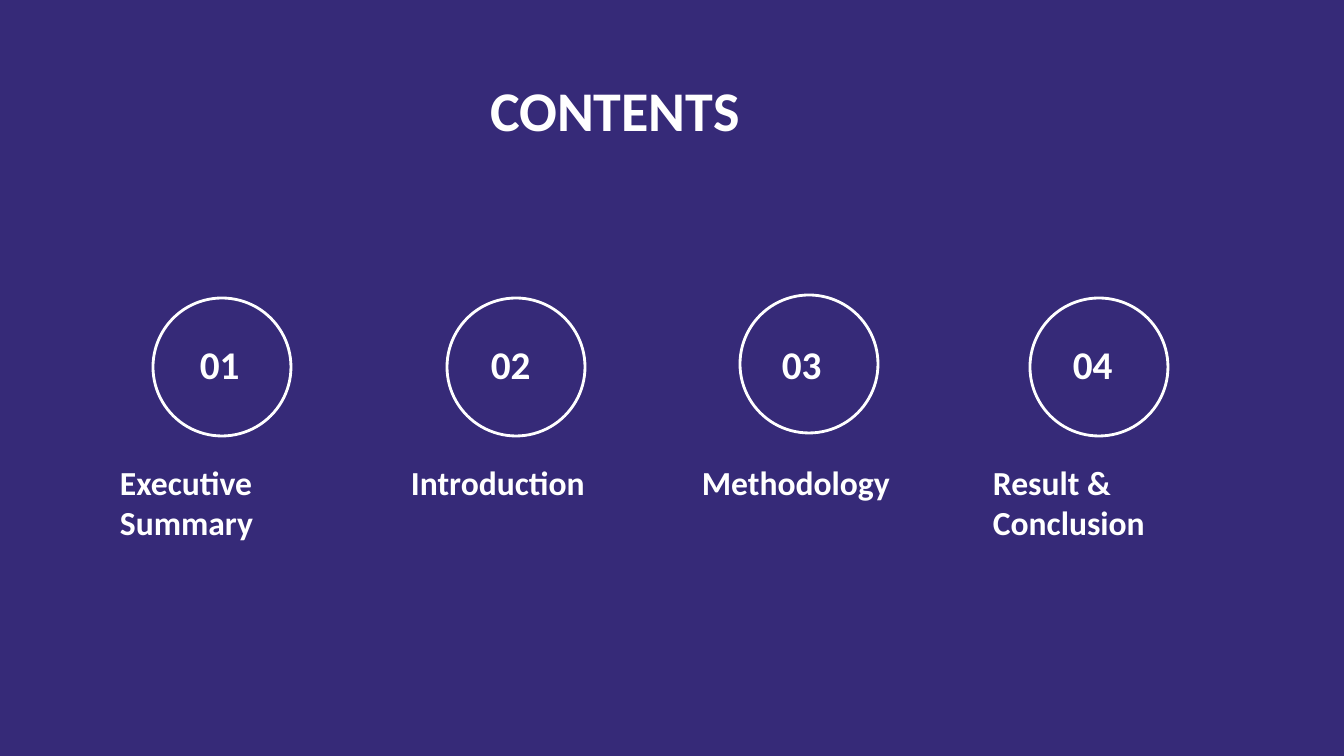
from dataclasses import dataclass

import pptx
import pptx.dml.color
import pptx.enum.shapes
import pptx.enum.text
import pptx.util

SLIDE_W, SLIDE_H = 1344, 756
EMU_PER_PX = 914400 / 100.8


@dataclass(frozen=True)
class Theme:
    font: str = "Calibri"
    background: str = "362A78"
    ink: str = "FFFFFF"
    title_pt: int = 40
    number_pt: int = 28
    label_pt: int = 24
    ring_pt: int = 2


@dataclass(frozen=True)
class Section:
    label: str
    ring_left: int
    ring_top: int = 298


THEME = Theme()
SECTIONS = [
    Section("Executive Summary", 153),
    Section("Introduction", 447),
    Section("Methodology", 740, 295),
    Section("Result & Conclusion", 1030),
]
LABEL_LEFT, LABEL_TOP, LABEL_W, LABEL_H = 110, 457, 239, 92
NUMBER_INSET, NUMBER_TOP, NUMBER_W, NUMBER_H = 80, 335, 70, 57
COLUMN_PITCH = 291
RING_SIZE = 138


def px(n: int) -> pptx.util.Emu:
    return pptx.util.Emu(round(n * EMU_PER_PX))


def rgb(value: str) -> pptx.dml.color.RGBColor:
    return pptx.dml.color.RGBColor.from_string(value)


def write(sp, text: str, *, size: int, wrap: bool = True) -> None:
    """Set bold, left-aligned, top-anchored text in a shape."""
    tf = sp.text_frame
    tf.word_wrap = wrap
    tf.auto_size = pptx.enum.text.MSO_AUTO_SIZE.NONE
    tf.vertical_anchor = pptx.enum.text.MSO_ANCHOR.TOP
    p = tf.paragraphs[0]
    p.alignment = pptx.enum.text.PP_ALIGN.LEFT
    r = p.add_run()
    r.text = text
    r.font.name = THEME.font
    r.font.size = pptx.util.Pt(size)
    r.font.bold = True
    r.font.color.rgb = rgb(THEME.ink)


def add_section(slide, index: int, section: Section) -> None:
    left = LABEL_LEFT + index * COLUMN_PITCH

    # Number and label
    number = slide.shapes.add_textbox(
        px(left + NUMBER_INSET), px(NUMBER_TOP), px(NUMBER_W), px(NUMBER_H))
    write(number, f"{index + 1:02}", size=THEME.number_pt, wrap=False)
    label = slide.shapes.add_textbox(px(left), px(LABEL_TOP), px(LABEL_W), px(LABEL_H))
    write(label, section.label, size=THEME.label_pt)

    # Ring
    ring = slide.shapes.add_shape(
        pptx.enum.shapes.MSO_SHAPE.OVAL,
        px(section.ring_left), px(section.ring_top), px(RING_SIZE), px(RING_SIZE))
    ring.shadow.inherit = False
    ring.fill.background()
    ring.line.color.rgb = rgb(THEME.ink)
    ring.line.width = pptx.util.Pt(THEME.ring_pt)


def main() -> None:
    prs = pptx.Presentation()
    prs.slide_width, prs.slide_height = px(SLIDE_W), px(SLIDE_H)
    slide = prs.slides.add_slide(prs.slide_layouts.get_by_name("Title Only"))

    # Background
    fill = slide.background.fill
    fill.solid()
    fill.fore_color.rgb = rgb(THEME.background)

    # Title
    title = slide.shapes.title
    title.left, title.top, title.width, title.height = px(480), px(70), px(385), px(78)
    write(title, "CONTENTS", size=THEME.title_pt)

    # Sections
    for index, section in enumerate(SECTIONS):
        add_section(slide, index, section)

    prs.save("out.pptx")


if __name__ == "__main__":
    main()
